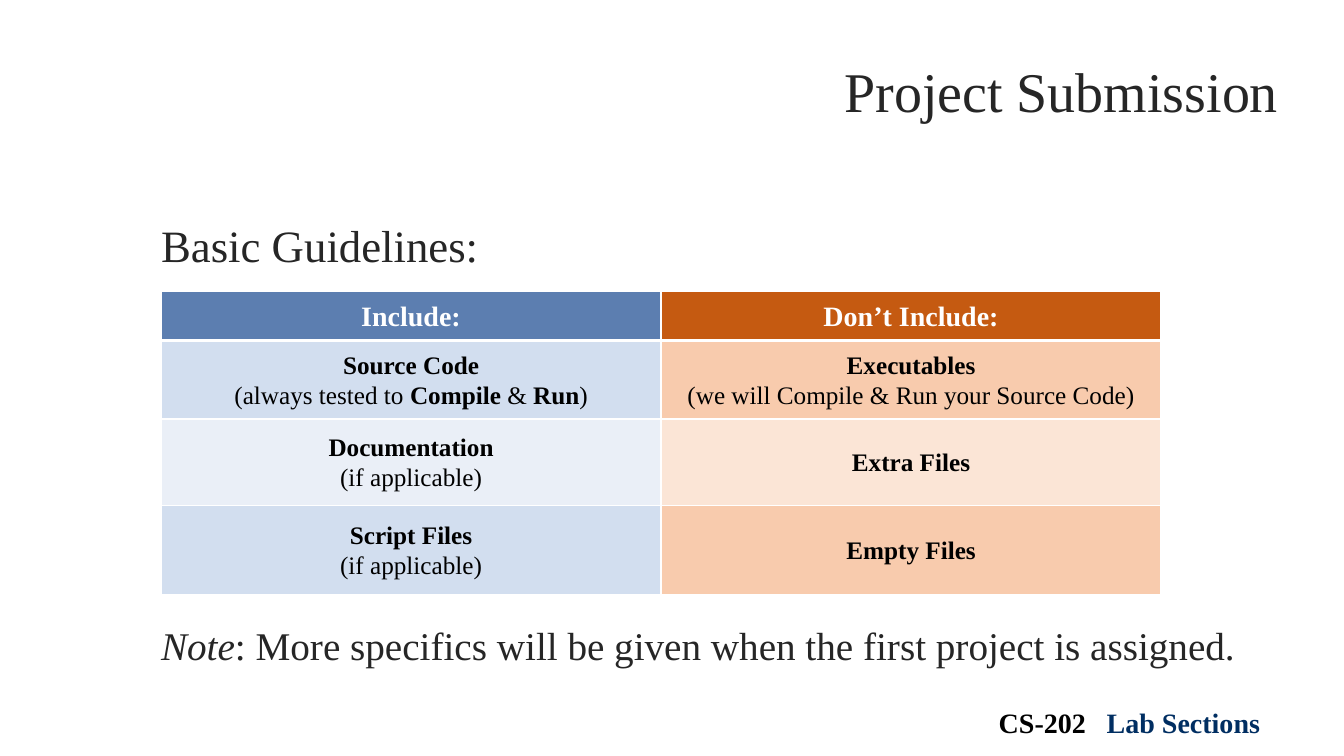
from typing import NamedTuple

from lxml.etree import SubElement
from pptx import Presentation
from pptx.dml.color import RGBColor
from pptx.enum.text import MSO_ANCHOR, PP_ALIGN
from pptx.oxml import parse_xml
from pptx.oxml.ns import nsdecls, qn
from pptx.util import Cm, Pt

FONT = "Times New Roman"
INK, BLACK, WHITE, NAVY = "262626", "000000", "FFFFFF", "002E62"


class Span(NamedTuple):
    """A piece of text with its own emphasis."""
    text: str
    bold: bool = False
    italic: bool = False
    color: str | None = None


class Column(NamedTuple):
    """A guideline column: header, body cells as lines of spans, and fills."""
    header: str
    header_fill: str
    body_fills: tuple[str, str]
    cells: list[list[list[Span]]]


IF_APPLICABLE = [Span("(if applicable)")]
COLUMNS = [
    Column("Include:", "5C7EB0", ("D2DEEF", "EAEFF7"), [
        [[Span("Source Code", True)],
         [Span("(always tested to "), Span("Compile", True), Span(" & "),
          Span("Run", True), Span(")")]],
        [[Span("Documentation", True)], IF_APPLICABLE],
        [[Span("Script Files", True)], IF_APPLICABLE],
    ]),
    Column("Don’t Include:", "C55A11", ("F8CBAD", "FBE5D6"), [
        [[Span("Executables", True)],
         [Span("(we will Compile & Run your Source Code)")]],
        [[Span("Extra Files", True)]],
        [[Span("Empty Files", True)]],
    ]),
]
ROW_HEIGHTS = [1.24, 1.98, 2.18, 2.24]
COLUMN_WIDTH = 12.6


def rgb(color: str) -> RGBColor:
    """Turn a hex string into a colour."""
    return RGBColor.from_string(color)


def write(para, spans: list[Span], size: float, color: str, align=PP_ALIGN.LEFT):
    """Fill a paragraph with spans in one font, size and base colour."""
    para.alignment = align
    para.font.name, para.font.size = FONT, Pt(size)
    para.font.color.rgb = rgb(color)
    for span in spans:
        run = para.add_run()
        run.text = span.text
        run.font.bold, run.font.italic = span.bold, span.italic
        if span.color:
            run.font.color.rgb = rgb(span.color)


def add_box(page, left: float, top: float, width: float, height: float):
    """Add a wrapping text box, in centimetres, and return its text frame."""
    box = page.shapes.add_textbox(Cm(left), Cm(top), Cm(width), Cm(height))
    box.text_frame.word_wrap = True
    return box.text_frame


def add_tab_stop(para, position: float):
    """Set one left tab stop, in centimetres."""
    stops = SubElement(para._p.get_or_add_pPr(), qn("a:tabLst"))
    SubElement(stops, qn("a:tab"), pos=str(Cm(position)), algn="l")


def set_borders(cell, top: float, bottom: float):
    """Draw white borders, 1 pt at the sides, with given top and bottom widths."""
    widths = {"lnL": 1, "lnR": 1, "lnT": top, "lnB": bottom}
    for index, (side, width) in enumerate(widths.items()):
        line = parse_xml(
            f'<a:{side} {nsdecls("a")} w="{Pt(width)}"><a:solidFill>'
            f'<a:srgbClr val="{WHITE}"/></a:solidFill></a:{side}>')
        cell._tc.get_or_add_tcPr().insert(index, line)


def fill_cell(cell, lines: list[list[Span]], size: float, color: str, fill: str):
    """Set a table cell's fill, margins and centred lines."""
    cell.fill.solid()
    cell.fill.fore_color.rgb = rgb(fill)
    cell.vertical_anchor = MSO_ANCHOR.MIDDLE
    cell.margin_left = cell.margin_right = Cm(0.18)
    cell.margin_top = cell.margin_bottom = 0
    frame = cell.text_frame
    for index, spans in enumerate(lines):
        para = frame.add_paragraph() if index else frame.paragraphs[0]
        para.line_spacing = 1.07
        write(para, spans, size, color, PP_ALIGN.CENTER)


def add_guidelines(page):
    """Add the table of what to include and what to leave out."""
    table = page.shapes.add_table(
        len(ROW_HEIGHTS), len(COLUMNS), Cm(4.06), Cm(7.34),
        Cm(COLUMN_WIDTH * len(COLUMNS)), Cm(sum(ROW_HEIGHTS))).table
    for row, height in zip(table.rows, ROW_HEIGHTS):
        row.height = Cm(height)
    for col, column in enumerate(COLUMNS):
        table.columns[col].width = Cm(COLUMN_WIDTH)
        header = table.cell(0, col)
        fill_cell(header, [[Span(column.header, True)]], 20, WHITE, column.header_fill)
        set_borders(header, 1, 3)
        for row, lines in enumerate(column.cells, start=1):
            cell = table.cell(row, col)
            fill_cell(cell, lines, 18, BLACK, column.body_fills[(row - 1) % 2])
            set_borders(cell, 3 if row == 1 else 1, 1)


deck = Presentation()
deck.slide_width, deck.slide_height = Cm(33.87), Cm(19.05)
page = deck.slides.add_slide(deck.slide_layouts[6])

title = add_box(page, 2.69, 1.45, 29.77, 1.8)
title.vertical_anchor = MSO_ANCHOR.BOTTOM
write(title.paragraphs[0], [Span("Project Submission")], 40, INK, PP_ALIGN.RIGHT)

body = add_box(page, 3.81, 5.23, 29.03, 9.75)
body.margin_top = Cm(0.25)
write(body.paragraphs[0], [Span("Basic Guidelines:")], 32, INK)
note = body.add_paragraph()
note.space_before = Pt(250)
write(note, [Span("Note", italic=True),
             Span(": More specifics will be given when the first project is assigned.")],
      28, INK)

add_guidelines(page)

footer = add_box(page, 24.1, 17.65, 8.74, 1.12)
footer.margin_left = Cm(1.07)
course = footer.paragraphs[0]
add_tab_stop(course, 2.72)
write(course, [Span("CS-202\t", True), Span("Lab Sections", True, color=NAVY)], 20, BLACK)

deck.save("out.pptx")
